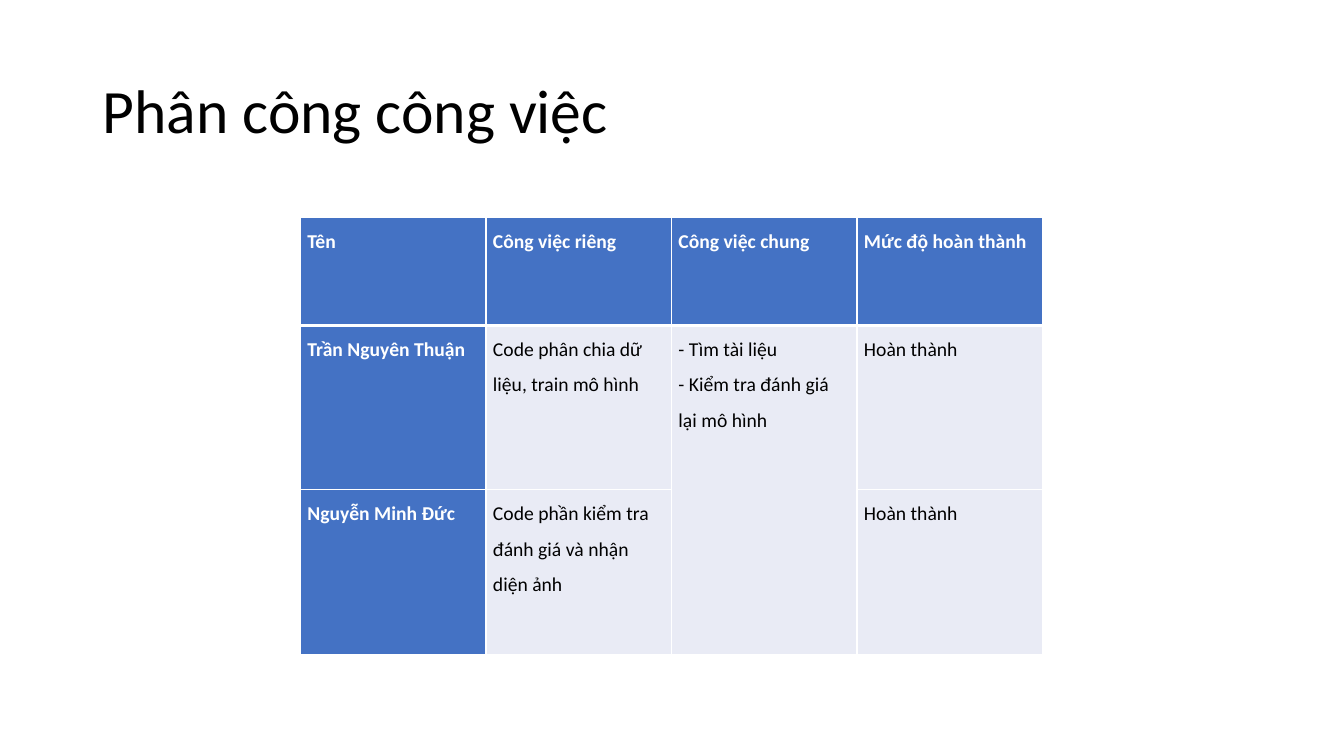
from dataclasses import dataclass

from lxml.etree import SubElement
from pptx import Presentation
from pptx.dml.color import RGBColor
from pptx.enum.text import MSO_ANCHOR
from pptx.oxml.ns import qn
from pptx.util import Inches, Pt


@dataclass(frozen=True)
class Theme:
    """Colours, font and type sizes of the slide."""
    font: str = "Calibri"
    title_size: int = 44
    cell_size: int = 14
    text: str = "000000"
    white: str = "FFFFFF"
    header: str = "4472C4"
    body: str = "E9EBF5"
    rule: int = 1
    header_rule: int = 3


THEME = Theme()
ROWS = [
    ["Tên", "Công việc riêng", "Công việc chung", "Mức độ hoàn thành"],
    ["Trần Nguyên Thuận", "Code phân chia dữ liệu, train mô hình",
     "- Tìm tài liệu\n- Kiểm tra đánh giá lại mô hình", "Hoàn thành"],
    ["Nguyễn Minh Đức", "Code phần kiểm tra đánh giá và nhận diện ảnh",
     "", "Hoàn thành"],
]
COL_WIDTH = 1.84
ROW_HEIGHTS = [1.07, 1.63, 1.63]
SHARED_COL = 2


def style_text(tf, size, color, spacing, bold=False):
    """Apply one font and line spacing to every paragraph."""
    for p in tf.paragraphs:
        p.line_spacing = spacing
        p.font.name = THEME.font
        p.font.size = Pt(size)
        p.font.bold = bold
        p.font.color.rgb = RGBColor.from_string(color)


def add_title(slide, text):
    """Add the slide title."""
    sp = slide.shapes.add_textbox(Inches(0.92), Inches(0.4), Inches(11.5), Inches(1.45))
    tf = sp.text_frame
    tf.word_wrap = True
    tf.vertical_anchor = MSO_ANCHOR.MIDDLE
    tf.text = text
    style_text(tf, THEME.title_size, THEME.text, 0.9)


def set_borders(cell, top, bottom):
    """Draw white cell borders, with top and bottom widths in points."""
    tc_pr = cell._tc.get_or_add_tcPr()
    widths = {"lnL": THEME.rule, "lnR": THEME.rule, "lnT": top, "lnB": bottom}
    for side, width in widths.items():
        ln = SubElement(tc_pr, qn(f"a:{side}"), w=str(Pt(width)))
        fill = SubElement(ln, qn("a:solidFill"))
        SubElement(fill, qn("a:srgbClr"), val=THEME.white)


def style_cell(cell, row, col):
    """Style a cell as a header or body cell by its place."""
    is_header = row == 0 or col == 0
    set_borders(cell,
                THEME.header_rule if row == 1 else THEME.rule,
                THEME.header_rule if row == 0 else THEME.rule)
    cell.fill.solid()
    cell.fill.fore_color.rgb = RGBColor.from_string(THEME.header if is_header else THEME.body)
    cell.margin_left = cell.margin_right = Inches(0.07)
    cell.margin_top = cell.margin_bottom = 0
    style_text(cell.text_frame, THEME.cell_size,
               THEME.white if is_header else THEME.text, 1.5, is_header)


def add_task_table(slide):
    """Add the table of tasks with the shared task cell merged."""
    n_cols = len(ROWS[0])
    table = slide.shapes.add_table(
        len(ROWS), n_cols, Inches(2.98), Inches(2.16),
        Inches(COL_WIDTH * n_cols), Inches(sum(ROW_HEIGHTS))).table
    table.first_col = True
    table.horz_banding = False
    for column in table.columns:
        column.width = Inches(COL_WIDTH)
    for row, height in zip(table.rows, ROW_HEIGHTS):
        row.height = Inches(height)
    for r, texts in enumerate(ROWS):
        for c, text in enumerate(texts):
            cell = table.cell(r, c)
            cell.text = text
            style_cell(cell, r, c)
    table.cell(1, SHARED_COL).merge(table.cell(2, SHARED_COL))


def main():
    """Build and save the slide."""
    prs = Presentation()
    prs.slide_width, prs.slide_height = Inches(13.33), Inches(7.5)
    slide = prs.slides.add_slide(prs.slide_layouts[6])
    add_title(slide, "Phân công công việc")
    add_task_table(slide)
    prs.save("out.pptx")


main()
